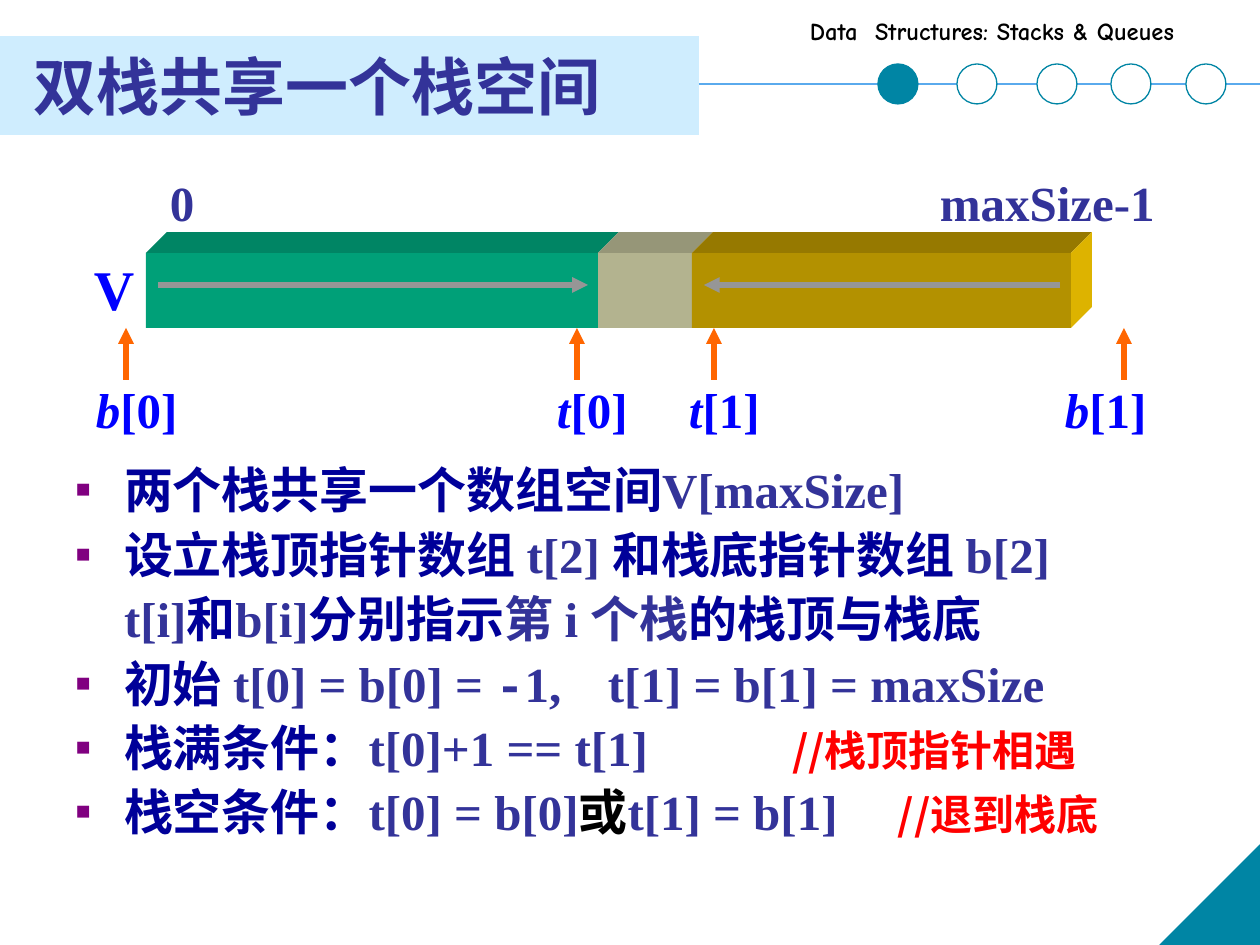
from lxml.etree import SubElement
from pptx import Presentation
from pptx.dml.color import RGBColor
from pptx.enum.shapes import MSO_CONNECTOR, MSO_SHAPE as Shape
from pptx.enum.text import MSO_ANCHOR as Anchor, MSO_AUTO_SIZE as AutoSize, PP_ALIGN as Align
from pptx.oxml.ns import qn
from pptx.util import Emu, Pt

NAVY = RGBColor(0x00, 0x00, 0x99)
INDIGO = RGBColor(0x33, 0x33, 0x99)
BLUE = RGBColor(0x00, 0x00, 0xFF)
RED = RGBColor(0xFF, 0x00, 0x00)
BLACK = RGBColor(0x00, 0x00, 0x00)
WHITE = RGBColor(0xFF, 0xFF, 0xFF)
TEAL = RGBColor(0x00, 0x85, 0xA4)
SKY = RGBColor(0x5A, 0xAA, 0xED)
PALE_BLUE = RGBColor(0xCF, 0xED, 0xFE)
ORANGE = RGBColor(0xFF, 0x66, 0x00)
GRAY = RGBColor(0x96, 0x96, 0x96)
GREEN_FRONT, GREEN_TOP = RGBColor(0x00, 0xA0, 0x78), RGBColor(0x00, 0x85, 0x64)
BEIGE_FRONT, BEIGE_TOP = RGBColor(0xB3, 0xB3, 0x8F), RGBColor(0x96, 0x96, 0x78)
GOLD_FRONT, GOLD_TOP = RGBColor(0xB3, 0x91, 0x00), RGBColor(0x96, 0x79, 0x00)
GOLD_SIDE = RGBColor(0xDD, 0xB3, 0x00)

SERIF, SANS, MONO, COMIC = "Times New Roman", "Noto Sans CJK SC", "Courier New", "Comic Neue"

TITLE = "双栈共享一个栈空间"
HEADER = "Data  Structures: Stacks & Queues"
CIRCLES = [(878, TEAL), (957, WHITE), (1037, WHITE), (1111, WHITE), (1186, WHITE)]
SECTIONS = [(146, 598, GREEN_FRONT, GREEN_TOP), (598, 692, BEIGE_FRONT, BEIGE_TOP),
            (692, 1071, GOLD_FRONT, GOLD_TOP)]
BAR_TOP, BAR_BOTTOM, DEPTH = 253, 328, 21
POINTERS = [("b", "[0]", 96, 126), ("t", "[0]", 557, 577),
            ("t", "[1]", 689, 714), ("b", "[1]", 1065, 1124)]
GROWTH_ARROWS = [(158, 588), (1060, 704)]
BAR_LABELS = [("0", 170, 172, 28, INDIGO), ("maxSize-1", 940, 172, 28, INDIGO),
              ("V", 94, 258, 32, BLUE)]
POINTS = [
    (True, None, [("两个栈共享一个数组空间", NAVY), ("V[maxSize]", INDIGO)]),
    (True, None, [("设立栈顶指针数组 ", NAVY), ("t[2] ", INDIGO),
                  ("和栈底指针数组 ", NAVY), ("b[2]", INDIGO)]),
    (False, None, [("t[i]", INDIGO), ("和", NAVY), ("b[i]", INDIGO), ("分别指示", NAVY),
                   ("第 i 个栈", INDIGO), ("的栈顶与栈底", NAVY)]),
    (True, 532, [("初始 ", NAVY), ("t[0] = b[0] = ", INDIGO), ("-", INDIGO, MONO),
                 ("1,\tt[1] = b[1] = maxSize", INDIGO)]),
    (True, 716, [("栈满条件：", NAVY), ("t[0]+1 == t[1]\t", INDIGO),
                 ("//栈顶指针相遇", RED, SANS, 24)]),
    (True, 822, [("栈空条件：", NAVY), ("t[0] = b[0]", INDIGO), ("或", BLACK),
                 ("t[1] = b[1]\t", INDIGO), ("//退到栈底", RED, SANS, 24)]),
]


def px(length):
    return Emu(round(length * 914400 / 126))


def place(shape, left, top, width, height):
    values = dict(left=left, top=top, width=width, height=height)
    for name, value in values.items():
        setattr(shape, name, px(value))


def set_frame(frame, left=0, top=0, wrap=False, anchor=Anchor.TOP):
    values = dict(margin_left=px(left), margin_right=0, margin_top=px(top), margin_bottom=0,
                  word_wrap=wrap, vertical_anchor=anchor, auto_size=AutoSize.NONE)
    for name, value in values.items():
        setattr(frame, name, value)


def add_run(paragraph, text, color, font=SERIF, size=28, italic=False):
    run = paragraph.add_run()
    run.text = text
    for name, value in dict(name=font, size=Pt(size), bold=True, italic=italic).items():
        setattr(run.font, name, value)
    run.font.color.rgb = color
    SubElement(run.font._element, qn("a:ea"), typeface=SANS)


def add_label(slide, left, top, width, height, runs):
    box = slide.shapes.add_textbox(*map(px, (left, top, width, height)))
    set_frame(box.text_frame, anchor=Anchor.MIDDLE)
    for run in runs:
        add_run(box.text_frame.paragraphs[0], *run)


def paint(shape, fill, outline=None):
    shape.shadow.inherit = False
    shape.fill.solid()
    shape.fill.fore_color.rgb = fill
    if outline is None:
        shape.line.fill.background()
    else:
        shape.line.color.rgb = outline
        shape.line.width = Pt(0.75)
    return shape


def add_preset(slide, kind, box, fill, outline=None):
    return paint(slide.shapes.add_shape(kind, *map(px, box)), fill, outline)


def add_face(slide, points, fill):
    corners = [(px(x), px(y)) for x, y in points]
    builder = slide.shapes.build_freeform(*corners[0])
    builder.add_line_segments(corners[1:], close=True)
    paint(builder.convert_to_shape(), fill)


def add_line(slide, start, end, color, width, arrow=True):
    line = slide.shapes.add_connector(MSO_CONNECTOR.STRAIGHT, *map(px, start + end))
    line.line.color.rgb = color
    line.line.width = Pt(width)
    if arrow:
        SubElement(line.line._get_or_add_ln(), qn("a:tailEnd"), type="triangle")
    SubElement(line._element.spPr, qn("a:effectLst"))


def set_bullet(paragraph, bulleted, tab):
    properties = paragraph._p.get_or_add_pPr()
    properties.set("marL", str(px(48)))
    properties.set("indent", str(px(-48 if bulleted else 0)))
    if bulleted:
        color = SubElement(properties, qn("a:buClr"))
        SubElement(color, qn("a:srgbClr"), val="800080")
        SubElement(properties, qn("a:buSzPct"), val="50000")
        SubElement(properties, qn("a:buChar"), char="■")
    else:
        SubElement(properties, qn("a:buNone"))
    if tab:
        tabs = SubElement(properties, qn("a:tabLst"))
        SubElement(tabs, qn("a:tab"), pos=str(px(tab)), algn="l")


def add_title_and_points(slide):
    title, body = slide.shapes.title, slide.placeholders[1]
    place(title, 0, 36, 699, 99)
    title.fill.solid()
    title.fill.fore_color.rgb = PALE_BLUE
    set_frame(title.text_frame, left=34, wrap=True, anchor=Anchor.MIDDLE)
    heading = title.text_frame.paragraphs[0]
    heading.alignment = Align.LEFT
    add_run(heading, TITLE, INDIGO, SANS, 36)

    place(body, 63, 451, 1133, 423)
    set_frame(body.text_frame, left=13, top=6, wrap=True)
    for index, (bulleted, tab, runs) in enumerate(POINTS):
        paragraph = body.text_frame.add_paragraph() if index else body.text_frame.paragraphs[0]
        set_bullet(paragraph, bulleted, tab)
        paragraph.line_spacing = 1.05
        paragraph.space_before = Pt(1.5 if index else 0)
        for run in runs:
            add_run(paragraph, *run)


def add_header(slide):
    add_label(slide, 810, 9, 440, 43, [(HEADER, BLACK, COMIC, 14)])
    add_line(slide, (699, 84), (1260, 84), SKY, 1, arrow=False)
    for left, fill in CIRCLES:
        add_preset(slide, Shape.OVAL, (left, 64, 40, 40), fill, TEAL)
    corner = add_preset(slide, Shape.RIGHT_TRIANGLE, (1160, 845, 100, 100), TEAL, TEAL)
    corner.rotation = 270


def add_stack_bar(slide):
    back = BAR_TOP - DEPTH
    for left, right, front, top in SECTIONS:
        add_preset(slide, Shape.RECTANGLE, (left, BAR_TOP, right - left, BAR_BOTTOM - BAR_TOP), front)
        add_face(slide, [(left, BAR_TOP), (left + DEPTH, back),
                         (right + DEPTH, back), (right, BAR_TOP)], top)
    end = SECTIONS[-1][1]
    add_face(slide, [(end, BAR_TOP), (end + DEPTH, back),
                     (end + DEPTH, BAR_BOTTOM - DEPTH), (end, BAR_BOTTOM)], GOLD_SIDE)
    for start, stop in GROWTH_ARROWS:
        add_line(slide, (start, 285), (stop, 285), GRAY, 3)
    for text, left, top, size, color in BAR_LABELS:
        add_label(slide, left, top, 24 * len(text), 60, [(text, color, SERIF, size)])
    for letter, index, left, tip in POINTERS:
        add_line(slide, (tip, 380), (tip, BAR_BOTTOM), ORANGE, 3)
        add_label(slide, left, 379, 82, 60,
                  [(letter, BLUE, SERIF, 28, True), (index, BLUE)])


def main():
    presentation = Presentation()
    presentation.slide_width, presentation.slide_height = px(1260), px(945)
    slide = presentation.slides.add_slide(presentation.slide_layouts[1])
    add_title_and_points(slide)
    add_header(slide)
    add_stack_bar(slide)
    presentation.save("out.pptx")


if __name__ == "__main__":
    main()
